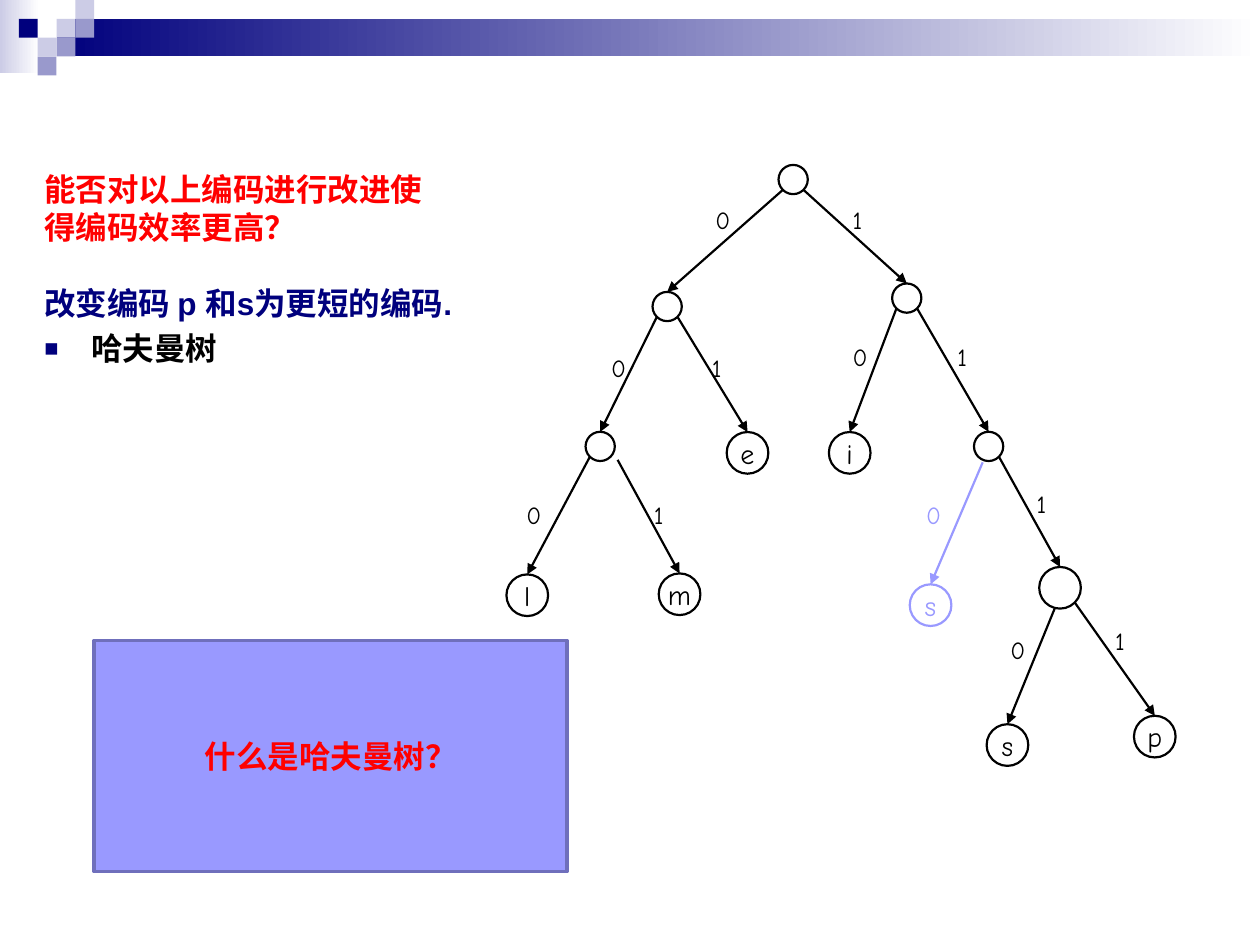
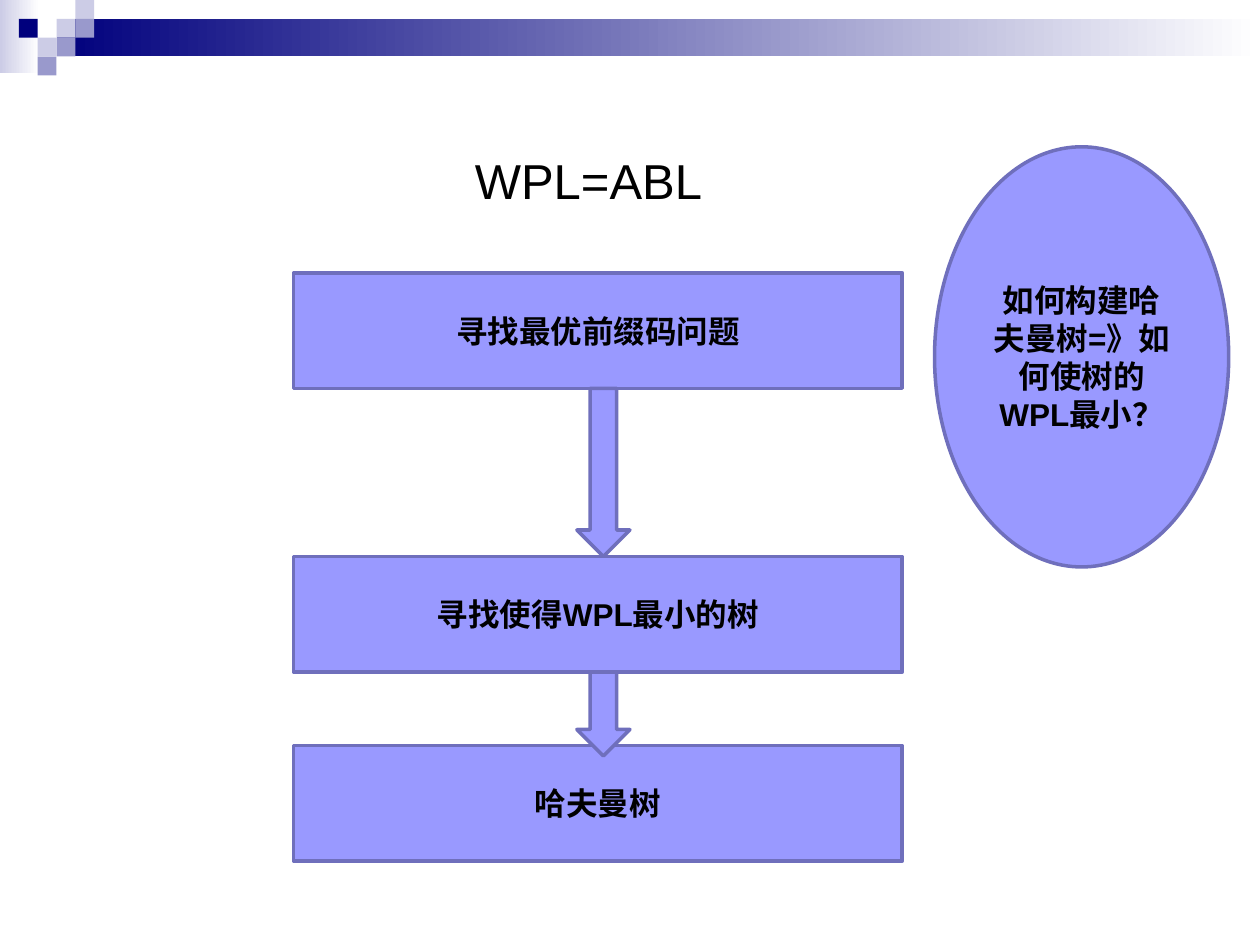
import dataclasses
import math

import pptx
import pptx.dml.color
import pptx.enum.shapes
import pptx.enum.text
import pptx.oxml
import pptx.oxml.ns
import pptx.util

Cm = pptx.util.Cm
Pt = pptx.util.Pt
RGB = pptx.dml.color.RGBColor.from_string
SHAPE = pptx.enum.shapes.MSO_SHAPE
ALIGN = pptx.enum.text.PP_ALIGN
ANCHOR = pptx.enum.text.MSO_ANCHOR
AUTO_SIZE = pptx.enum.text.MSO_AUTO_SIZE


@dataclasses.dataclass(frozen=True)
class Theme:
    navy: str = "00007D"
    mid: str = "9999CC"
    pale: str = "CCCCE6"
    white: str = "FFFFFF"
    black: str = "000000"
    red: str = "FF0000"
    accent: str = "9999FF"
    outline: str = "6F6FBC"
    font: str = "Arial"
    tree_font: str = "Comic Neue"
    title_size: int = 28
    body_size: int = 18
    node_size: int = 16
    bit_size: int = 14
    thin: float = 1.25
    thick: float = 2


THEME = Theme()

GRID = 0.38
BAND_GRADIENTS = [
    (0, 0, 0.79, 1.47, THEME.pale),
    (3 * GRID, GRID, 25.4 - 3 * GRID, 2 * GRID, THEME.navy),
]
BAND_SQUARES = [
    (3, 1, THEME.pale), (4, 0, THEME.pale), (4, 1, THEME.mid), (2, 2, THEME.pale),
    (1, 1, THEME.navy), (3, 2, THEME.mid), (2, 3, THEME.mid),
]

BODY_LINES = [
    ("能否对以上编码进行改进使", THEME.red, 0, False),
    ("得编码效率更高？", THEME.red, 0, False),
    ("改变编码 p 和s为更短的编码.", THEME.navy, 21.7, False),
    ("哈夫曼树", THEME.black, 4.5, True),
]
QUESTION = "什么是哈夫曼树？"

SMALL, LARGE = 0.59, 0.84
TREE = {
    "root": ("", 15.99, 3.62, SMALL, None, None),
    "0": ("", 13.45, 6.18, SMALL, "root", (14.17, 4.01)),
    "1": ("", 18.28, 6.01, SMALL, "root", (16.94, 4.01)),
    "00": ("", 12.1, 9, SMALL, "0", (12.07, 6.99)),
    "01": ("e", 15.07, 9.13, LARGE, "0", (14.1, 6.99)),
    "10": ("i", 17.13, 9.13, LARGE, "1", (16.94, 6.78)),
    "11": ("", 19.93, 9, SMALL, "1", (19.05, 6.78)),
    "000": ("l", 10.63, 12, LARGE, "00", (10.36, 9.96)),
    "001": ("m", 13.7, 11.98, LARGE, "00", (12.93, 9.96)),
    "110": ("s", 18.76, 12.2, LARGE, "11", (18.42, 9.96)),
    "111": ("", 21.37, 11.85, LARGE, "11", (20.65, 9.73)),
    "1110": ("s", 20.31, 15.02, LARGE, "111", (20.12, 12.67)),
    "1111": ("p", 23.28, 14.85, LARGE, "111", (22.23, 12.5)),
}
EDGE_STARTS = {"001": (12.45, 9.27), "110": (19.81, 9.32), "1110": (21.26, 12.27)}
SHORTER_CODE = "110"

TITLE = "WPL=ABL"
STEPS = [
    ("寻找最优前缀码问题", 5.5, 3.39),
    ("寻找使得WPL最小的树", 11.22, 1.69),
    ("哈夫曼树", 15.03, None),
]
STEP_LEFT, STEP_WIDTH, STEP_HEIGHT = 5.92, 12.27, 2.33
ARROW_LEFT, ARROW_WIDTH = 11.63, 1.07
REMARK = "如何构建哈夫曼树=》如何使树的WPL最小？"


def place(shape, left, top, width, height):
    shape.left, shape.top = Cm(left), Cm(top)
    shape.width, shape.height = Cm(width), Cm(height)


def style_runs(paragraph, size, color, font=THEME.font, bold=False):
    for run in paragraph.runs:
        run.font.name = font
        run.font.size = Pt(size)
        run.font.bold = bold
        run.font.color.rgb = RGB(color)


def add_shape(slide, kind, box, fill=None, line=None, weight=THEME.thin):
    shape = slide.shapes.add_shape(kind, *map(Cm, box))
    shape.shadow.inherit = False
    if fill:
        shape.fill.solid()
        shape.fill.fore_color.rgb = RGB(fill)
    else:
        shape.fill.background()
    if line:
        shape.line.color.rgb = RGB(line)
        shape.line.width = Pt(weight)
    else:
        shape.line.fill.background()
    return shape


def add_panel(slide, kind, box, text="", color=THEME.black):
    shape = add_shape(slide, kind, box, THEME.accent, THEME.outline, THEME.thick)
    if text:
        frame = shape.text_frame
        frame.text = text
        frame.word_wrap = True
        frame.vertical_anchor = ANCHOR.MIDDLE
        frame.paragraphs[0].alignment = ALIGN.CENTER
        style_runs(frame.paragraphs[0], THEME.body_size, color, bold=True)
    return shape


def move_band_to_master(presentation, slide):
    shapes = []
    for *box, color in BAND_GRADIENTS:
        shape = add_shape(slide, SHAPE.RECTANGLE, box)
        shape.fill.gradient()
        shape.fill.gradient_angle = 0
        for stop, stop_color in zip(shape.fill.gradient_stops, (color, THEME.white)):
            stop.color.rgb = RGB(stop_color)
        shapes.append(shape)
    for column, row, color in BAND_SQUARES:
        box = (column * GRID, row * GRID, GRID, GRID)
        shapes.append(add_shape(slide, SHAPE.RECTANGLE, box, color))
    master_tree = presentation.slide_master.element.cSld.spTree
    for index, shape in enumerate(shapes):
        shape.element.find(".//" + pptx.oxml.ns.qn("p:cNvPr")).set("id", str(100 + index))
        master_tree.insert(2 + index, shape.element)


def set_bullet(paragraph, bulleted):
    properties = paragraph._p.get_or_add_pPr()
    properties.set("marL", str(Cm(0.95)))
    properties.set("indent", str(-Cm(0.95)))
    namespace = pptx.oxml.ns.nsdecls("a")
    if bulleted:
        elements = [
            f'<a:buClr {namespace}><a:srgbClr val="{THEME.navy}"/></a:buClr>',
            f'<a:buSzPct {namespace} val="75000"/>',
            f'<a:buFont {namespace} typeface="{THEME.font}"/>',
            f'<a:buChar {namespace} char="■"/>',
        ]
    else:
        elements = [f"<a:buNone {namespace}/>"]
    for element in elements:
        properties.append(pptx.oxml.parse_xml(element))


def fill_body(body):
    place(body, 0.64, 3.3, 22.86, 10.03)
    frame = body.text_frame
    frame.auto_size = AUTO_SIZE.NONE
    frame.text = "\n".join(line[0] for line in BODY_LINES)
    for paragraph, (_, color, before, bulleted) in zip(frame.paragraphs, BODY_LINES):
        paragraph.space_before = Pt(before)
        set_bullet(paragraph, bulleted)
        style_runs(paragraph, THEME.body_size, color, bold=True)


def add_node(slide, text, x, y, diameter, color):
    box = (x - diameter / 2, y - diameter / 2, diameter, diameter)
    node = add_shape(slide, SHAPE.OVAL, box, line=color)
    if text:
        frame = node.text_frame
        frame.text = text
        frame.word_wrap = False
        frame.vertical_anchor = ANCHOR.MIDDLE
        frame.paragraphs[0].alignment = ALIGN.CENTER
        style_runs(frame.paragraphs[0], THEME.node_size, color, THEME.tree_font)
    return node


def add_edge(slide, start, node, color):
    edge = slide.shapes.add_connector(
        pptx.enum.shapes.MSO_CONNECTOR.STRAIGHT, *map(Cm, start), node.left, node.top)
    edge.end_connect(node, 0)
    edge.line.color.rgb = RGB(color)
    edge.line.width = Pt(THEME.thin)
    namespace = pptx.oxml.ns.nsdecls("a")
    edge.line._get_or_add_ln().append(
        pptx.oxml.parse_xml(f'<a:tailEnd {namespace} type="triangle"/>'))
    edge.element.spPr.append(pptx.oxml.parse_xml(f"<a:effectLst {namespace}/>"))


def add_bit(slide, bit, position, color):
    width = 0.81 if bit == "0" else 0.71
    label = slide.shapes.add_textbox(*map(Cm, (*position, width, 0.84)))
    frame = label.text_frame
    frame.text = bit
    frame.word_wrap = False
    frame.auto_size = AUTO_SIZE.SHAPE_TO_FIT_TEXT
    style_runs(frame.paragraphs[0], THEME.bit_size, color, THEME.tree_font)


def add_tree(slide):
    for code, (text, x, y, diameter, parent, bit_position) in TREE.items():
        color = THEME.accent if code == SHORTER_CODE else THEME.black
        node = add_node(slide, text, x, y, diameter, color)
        if parent is None:
            continue
        _, parent_x, parent_y, parent_diameter, *_ = TREE[parent]
        bit = code[-1]
        offset = parent_diameter / 2 * math.sqrt(0.5)
        side = -1 if bit == "0" else 1
        start = EDGE_STARTS.get(code, (parent_x + side * offset, parent_y + offset))
        add_edge(slide, start, node, color)
        add_bit(slide, bit, bit_position, color)


def build_tree_slide(presentation):
    slide = presentation.slides.add_slide(presentation.slide_layouts[1])
    title = slide.shapes.title.element
    title.getparent().remove(title)
    fill_body(slide.placeholders[1])
    add_tree(slide)
    add_panel(slide, SHAPE.RECTANGLE, (1.9, 12.91, 9.53, 4.66), QUESTION, THEME.red)
    return slide


def build_steps_slide(presentation):
    slide = presentation.slides.add_slide(presentation.slide_layouts[5])
    title = slide.shapes.title
    place(title, 9.32, 2.9, 8.76, 1.45)
    title.text_frame.text = TITLE
    title.text_frame.auto_size = AUTO_SIZE.NONE
    title.text_frame.vertical_anchor = ANCHOR.TOP
    title.text_frame.paragraphs[0].alignment = ALIGN.LEFT
    style_runs(title.text_frame.paragraphs[0], THEME.title_size, THEME.black)
    for text, top, _ in STEPS:
        add_panel(slide, SHAPE.RECTANGLE, (STEP_LEFT, top, STEP_WIDTH, STEP_HEIGHT), text)
    for _, top, length in STEPS[:-1]:
        add_panel(slide, SHAPE.DOWN_ARROW, (ARROW_LEFT, top + STEP_HEIGHT, ARROW_WIDTH, length))
    add_panel(slide, SHAPE.OVAL, (18.84, 2.96, 5.93, 8.47), REMARK)


def main():
    presentation = pptx.Presentation()
    presentation.slide_width, presentation.slide_height = Cm(25.4), Cm(19.05)
    tree_slide = build_tree_slide(presentation)
    move_band_to_master(presentation, tree_slide)
    build_steps_slide(presentation)
    presentation.save("out.pptx")


if __name__ == "__main__":
    main()
